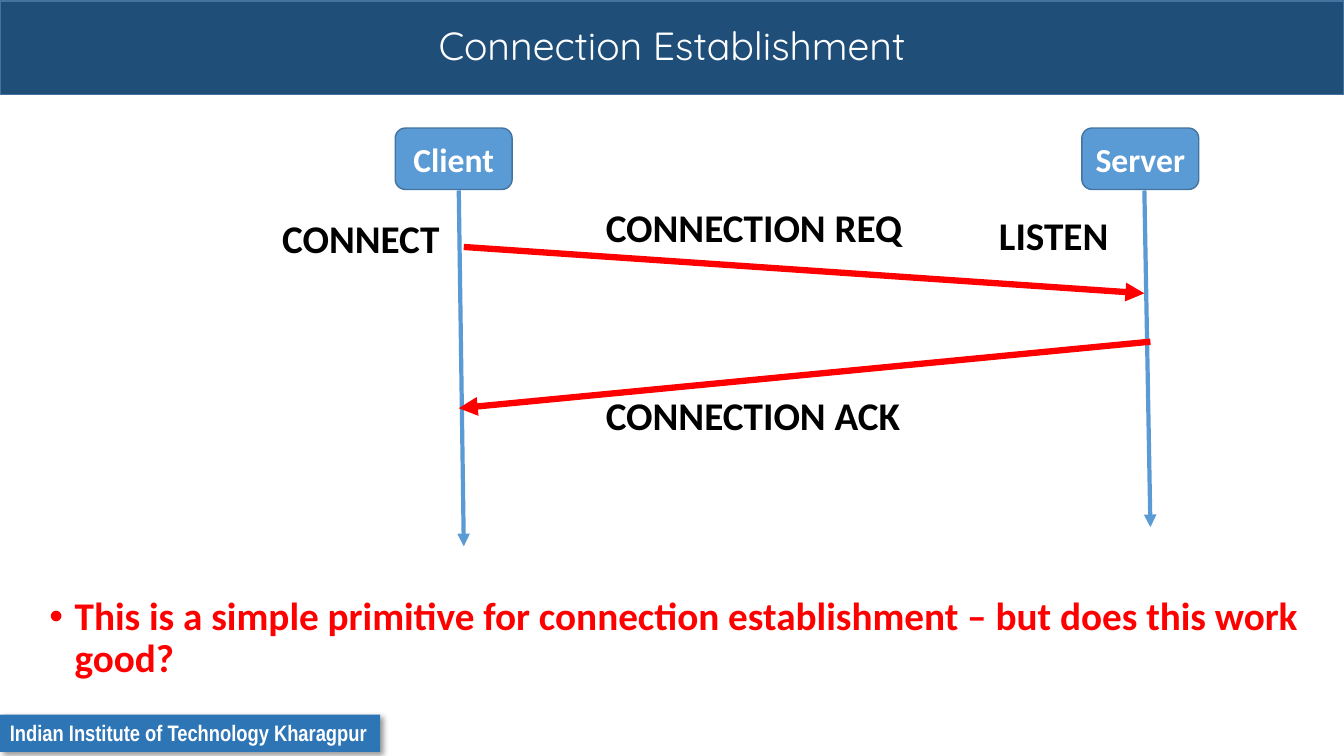
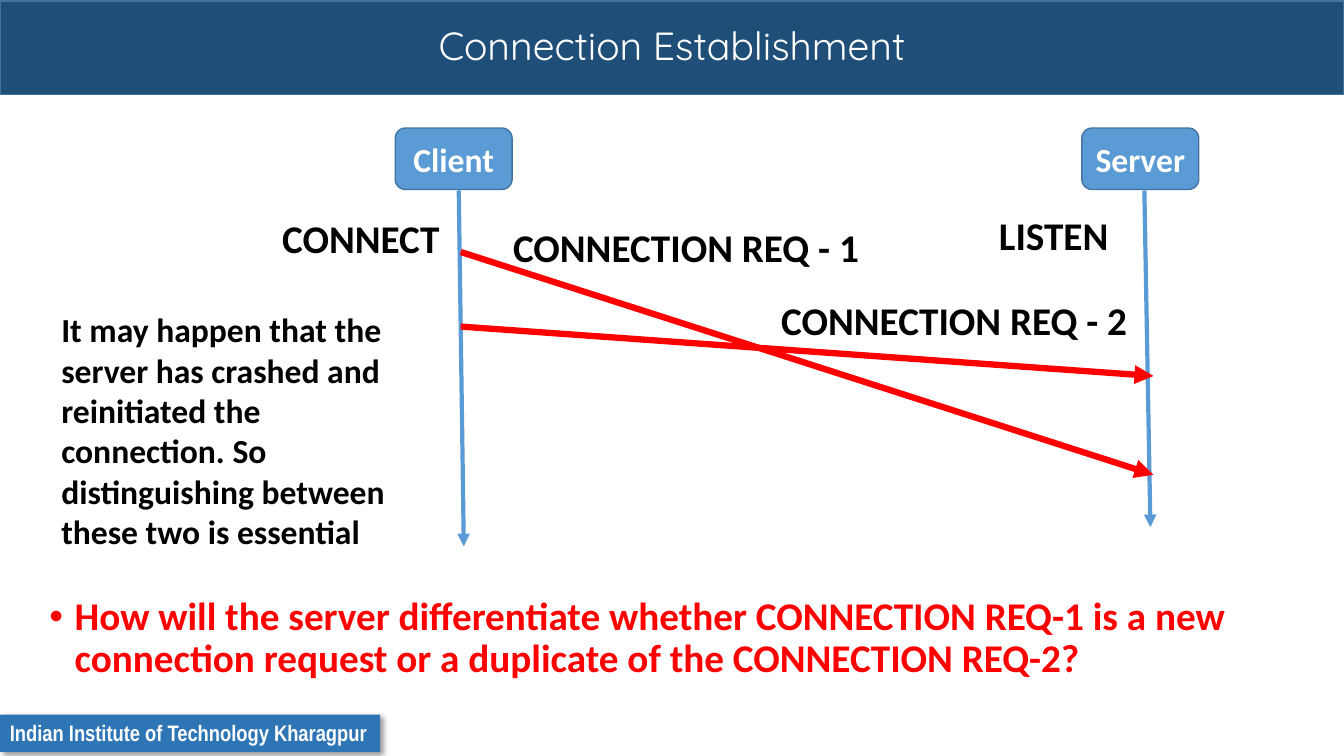
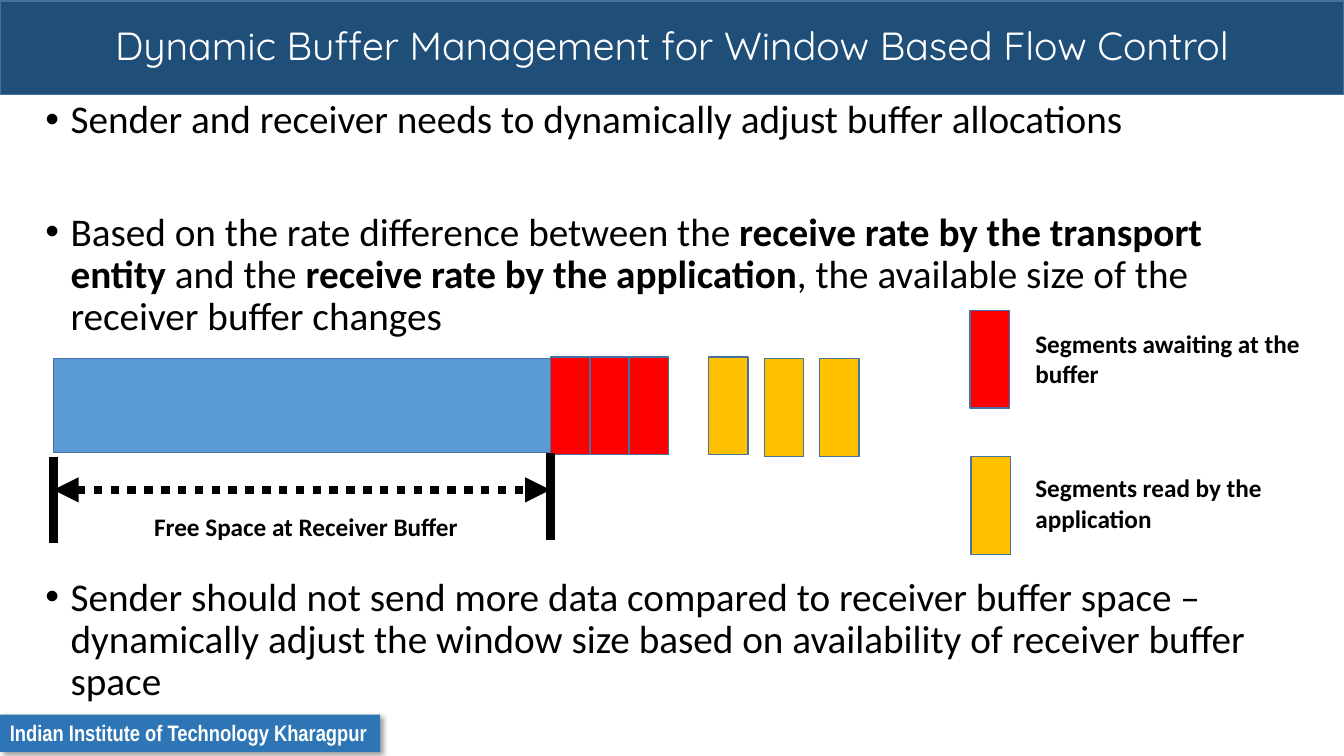
"""Build three transport-layer slides: two connection diagrams and one buffer diagram."""
from lxml import etree
from pptx import Presentation
from pptx import util as u
from pptx.dml.color import RGBColor
from pptx.enum import dml, shapes, text as t
from pptx.oxml import parse_xml
from pptx.oxml.ns import nsdecls, qn

COLORS = {
    "band": "1F4E79", "footer": "2E75B6", "edge": "43739E", "blue": "5B9BD5",
    "red": "FF0000", "amber": "FFC000", "black": "000000", "white": "FFFFFF",
}
RECT = shapes.MSO_SHAPE.RECTANGLE
ROUNDED = shapes.MSO_SHAPE.ROUNDED_RECTANGLE
CENTER = t.PP_ALIGN.CENTER
MIDDLE = t.MSO_ANCHOR.MIDDLE


def write(box, text, size=28, font="Calibri", color="black", bold=True,
          align=None, anchor=None, wrap=True, grow=False, bullet=False,
          before=None, leading=None):
    """Add a paragraph to a box; parts between asterisks switch the weight."""
    frame = box.text_frame
    frame.word_wrap = wrap
    fit = t.MSO_AUTO_SIZE
    frame.auto_size = fit.SHAPE_TO_FIT_TEXT if grow else fit.NONE
    if anchor is not None:
        frame.vertical_anchor = anchor
    para = frame.add_paragraph() if frame.text else frame.paragraphs[0]
    if align is not None:
        para.alignment = align
    if leading:
        para.line_spacing = leading
    if before is not None:
        para.space_before = u.Pt(before)
    if bullet:
        indent = u.Inches(0.25)
        props = para._p.get_or_add_pPr()
        props.set("marL", str(indent))
        props.set("indent", str(-indent))
    for index, part in enumerate(text.split("*")):
        span = para.add_run()
        span.text = part
        span.font.size = u.Pt(size)
        span.font.name = font
        span.font.bold = bold != (index % 2 == 1)
        span.font.color.rgb = RGBColor.from_string(COLORS[color])


def draw(page, place, kind=None, fill=None, edge="edge"):
    """Add a text box, or a filled preset shape when a kind is given."""
    place = [u.Inches(length) for length in place]
    if kind is None:
        return page.shapes.add_textbox(*place)
    shape = page.shapes.add_shape(kind, *place)
    shape.shadow.inherit = False
    shape.fill.solid()
    shape.fill.fore_color.rgb = RGBColor.from_string(COLORS[fill])
    if edge:
        shape.line.color.rgb = RGBColor.from_string(COLORS[edge])
        shape.line.width = u.Pt(1)
    else:
        shape.line.fill.background()
    return shape


deck = Presentation()
deck.slide_width, deck.slide_height = u.Inches(13.33), u.Inches(7.5)
layout = deck.slide_layouts[1]
band_place = (0, 0.01, 13.33, 0.93)

titles = ["Connection Establishment", "Connection Establishment",
          "Dynamic Buffer Management for Window Based Flow Control"]
body_places = [(0.39, 5.87, 12.63, 1.23), (0.39, 5.87, 12.63, 1.23), (0.35, 0.94, 12.63, 5.85)]
pages = []
for title, body_place in zip(titles, body_places):
    page = deck.slides.add_slide(layout)
    for holder, place in zip(page.placeholders, (band_place, body_place)):
        holder.left, holder.top, holder.width, holder.height = map(u.Inches, place)
    write(page.shapes.title, title, font="Quicksand", color="white", bold=False,
          align=CENTER, anchor=MIDDLE, leading=0.9)
    pages.append(page)
request_page, duplicate_page, buffer_page = pages

band = draw(request_page, band_place, RECT, "band")
footer = draw(request_page, (0, 7.09, 3.77, 0.37), RECT, "footer", edge=None)
write(footer, "Indian Institute of Technology Kharagpur", size=16, font="Arial Narrow",
      color="white", align=t.PP_ALIGN.LEFT, anchor=t.MSO_ANCHOR.TOP, wrap=False, grow=True)
footer.element.spPr.find(qn("a:effectLst")).append(parse_xml(
    f'<a:outerShdw {nsdecls("a")} blurRad="{u.Pt(4)}" dist="{u.Pt(3)}" dir="2700000" algn="tl">'
    '<a:srgbClr val="000000"><a:alpha val="40000"/></a:srgbClr></a:outerShdw>'))
for shared in (footer, band):
    layout.shapes.element.insert(2, shared.element)

lines = []
for page in (request_page, duplicate_page):
    for name, left in (("Client", 3.92), ("Server", 10.73)):
        host = draw(page, (left, 1.27, 1.16, 0.61), ROUNDED, "blue")
        write(host, name, size=24, color="white", align=CENTER, anchor=MIDDLE)
    for name, place in (("LISTEN", (9.81, 2.05, 1.3, 0.57)), ("CONNECT", (2.7, 2.08, 1.78, 0.57))):
        write(draw(page, place), name, wrap=False, grow=True)
    lines += [
        (page, (4.55, 1.89), (4.6, 5.42), "blue", 3, ["tailEnd"]),
        (page, (11.35, 1.89), (11.41, 5.23), "blue", 3, ["tailEnd"]),
    ]

messages = [
    (request_page, "CONNECTION REQ", (5.91, 1.97, 3.18, 0.57), (4.6, 2.45), (11.35, 2.91)),
    (request_page, "CONNECTION ACK", (5.91, 3.83, 3.18, 0.57), (11.41, 3.39), (4.55, 4.05)),
    (duplicate_page, "CONNECTION REQ - 1", (4.99, 2.17, 3.68, 0.57), (4.57, 2.5), (11.44, 4.71)),
    (duplicate_page, "CONNECTION REQ - 2", (7.65, 2.89, 3.68, 0.57), (4.57, 3.24), (11.44, 3.73)),
]
for page, label, place, start, end in messages:
    write(draw(page, place), label, wrap=False, grow=True)
    lines.append((page, start, end, "red", 4.5, ["tailEnd"]))

write(draw(duplicate_page, (0.51, 3.02, 3.76, 2.52)),
      "It may happen that the server has crashed and reinitiated the connection. "
      "So distinguishing between these two is essential", size=24, grow=True)

questions = [
    (request_page, "This is a simple primitive for connection establishment – but does this work good?"),
    (duplicate_page, "How will the server differentiate whether CONNECTION REQ-1 is a new "
                     "connection request or a duplicate of the CONNECTION REQ-2?"),
]
for page, question in questions:
    write(page.placeholders[1], question, color="red", bullet=True, before=10, leading=0.9)

points = [
    ("Sender and receiver needs to dynamically adjust buffer allocations", 10),
    ("Based on the rate difference between the *receive rate by the transport entity *and the "
     "*receive rate by the application*, the available size of the receiver buffer changes", 50),
    ("Sender should not send more data compared to receiver buffer space – dynamically adjust "
     "the window size based on availability of receiver buffer space", 170),
]
for point, before in points:
    write(buffer_page.placeholders[1], point, bold=False, bullet=True, before=before, leading=0.9)

segment_width, segment_height = 0.39, 0.97
draw(buffer_page, (0.53, 3.56, 6.1, 0.93), RECT, "blue")
segments = [(5.46 + segment_width * i, 3.54, "red") for i in (2, 1, 0)]
segments += [(7.03 + 0.55 * i, top, "amber") for i, top in enumerate((3.54, 3.56, 3.56))]
segments += [(9.62, 3.08, "red"), (9.63, 4.53, "amber")]
for left, top, fill in segments:
    draw(buffer_page, (left, top, segment_width, segment_height), RECT, fill)

write(draw(buffer_page, (1.43, 5.02, 3.25, 0.4)), "Free Space at Receiver Buffer",
      size=18, wrap=False, grow=True)
for legend, top in (("Segments awaiting at the buffer", 3.21),
                    ("Segments read by the application", 4.64)):
    write(draw(buffer_page, (10.17, top, 2.82, 0.71)), legend, size=18, grow=True)
lines += [
    (buffer_page, (0.53, 4.53), (0.53, 5.39), "black", 6, []),
    (buffer_page, (5.46, 4.49), (5.46, 5.36), "black", 6, []),
    (buffer_page, (0.53, 4.86), (5.46, 4.86), "black", 6, ["headEnd", "tailEnd"]),
]

for page, start, end, color, width, arrowheads in lines:
    connector = page.shapes.add_connector(
        shapes.MSO_CONNECTOR.STRAIGHT, *map(u.Inches, start + end))
    connector.line.color.rgb = RGBColor.from_string(COLORS[color])
    connector.line.width = u.Pt(width)
    if len(arrowheads) == 2:
        connector.line.dash_style = dml.MSO_LINE.ROUND_DOT
    for arrowhead in arrowheads:
        etree.SubElement(connector.line._ln, qn(f"a:{arrowhead}"), type="triangle")
    etree.SubElement(connector.element.spPr, qn("a:effectLst"))

deck.save("out.pptx")
